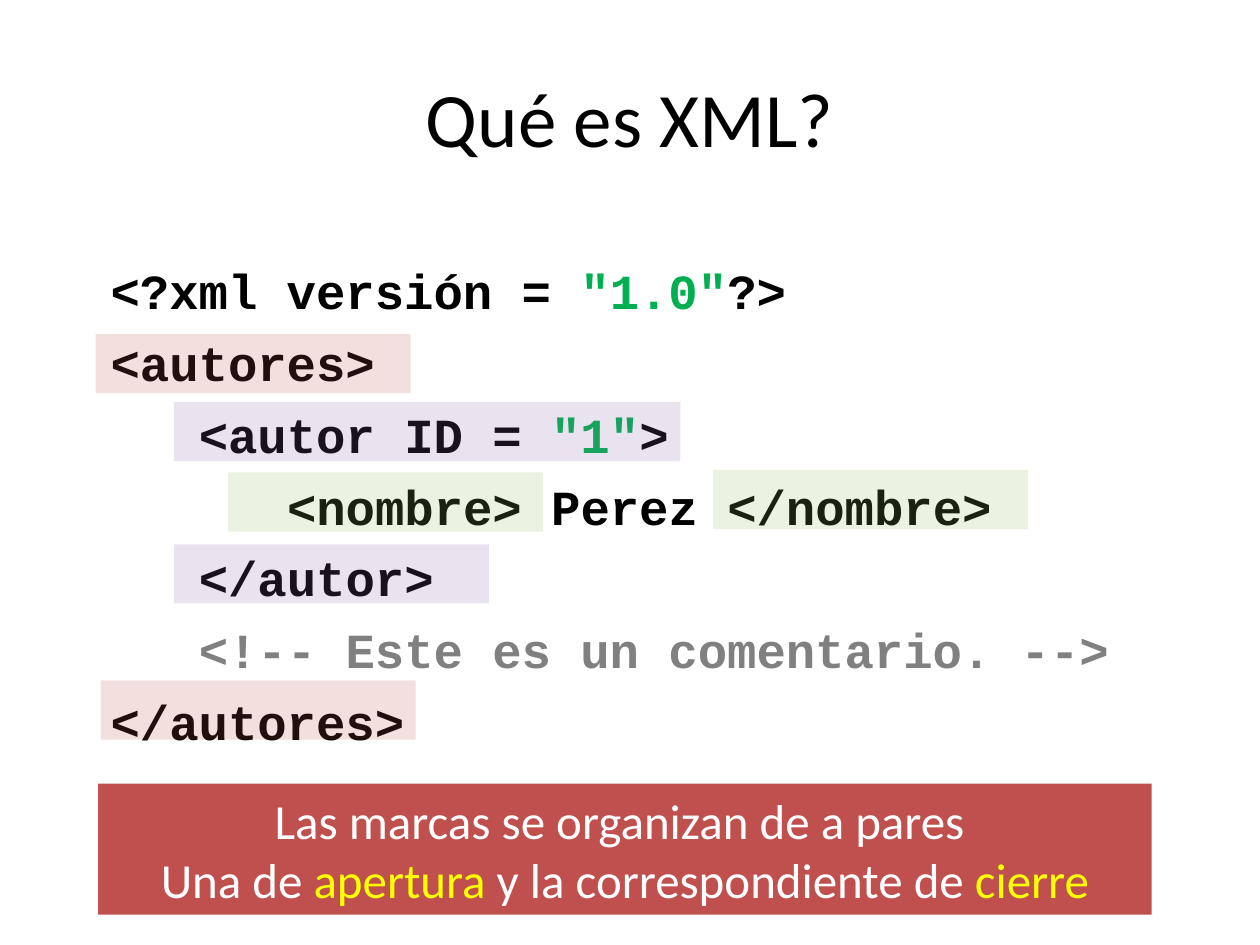
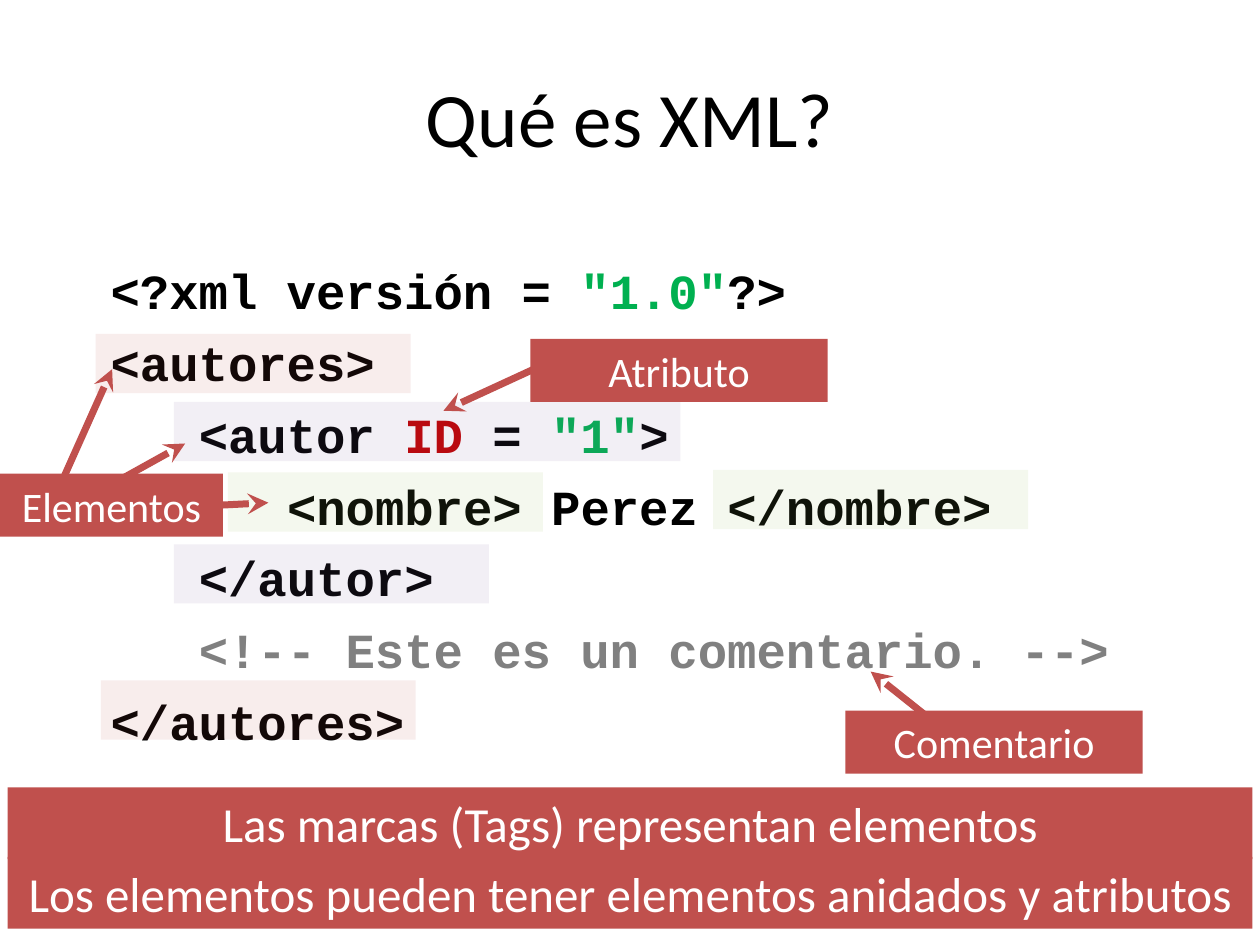
from lxml import etree
from pptx import Presentation
from pptx.dml.color import RGBColor
from pptx.enum.shapes import MSO_CONNECTOR, MSO_SHAPE
from pptx.enum.text import MSO_ANCHOR, PP_ALIGN
from pptx.oxml.ns import qn
from pptx.util import Inches, Pt

RECTANGLE = MSO_SHAPE.RECTANGLE
STRAIGHT = MSO_CONNECTOR.STRAIGHT
CENTER, LEFT = PP_ALIGN.CENTER, PP_ALIGN.LEFT
MIDDLE, TOP = MSO_ANCHOR.MIDDLE, MSO_ANCHOR.TOP

BLACK, WHITE, GRAY = "000000", "FFFFFF", "808080"
RED, PURPLE, OLIVE = "C0504D", "8064A2", "9BBB59"
GREEN, DARK_RED, YELLOW = "00B050", "C00000", "FFFF00"
TEXT_FONT, CODE_FONT = "Calibri", "Courier New"

TITLE = "Qué es XML?"
TITLE_BOX = (0.5, 0.3, 9, 1.25)
CODE_BOX = (0.78, 2.02, 8.44, 4.2)
CODE_INDENT = 0.7
TAG_HEIGHT = 0.47
TAG_PAIRS = [
    (RED, [(0.76, 2.65, 2.5), (0.8, 5.4, 2.5)]),
    (PURPLE, [(1.38, 3.19, 4.02), (1.38, 4.32, 2.5)]),
    (OLIVE, [(1.81, 3.75, 2.5), (5.66, 3.73, 2.5)]),
]


def color(value):
    return RGBColor.from_string(value)


def inches(box):
    return [Inches(length) for length in box]


def write_para(para, spans, font, size, align, bold=False):
    para.alignment = align
    for text, hue in spans:
        span = para.add_run()
        span.text = text
        span.font.name = font
        span.font.size = Pt(size)
        span.font.bold = bold
        span.font.color.rgb = color(hue)


def add_title(page, box):
    title = page.shapes.title
    title.left, title.top, title.width, title.height = inches(box)
    title.text_frame.vertical_anchor = MIDDLE
    write_para(title.text_frame.paragraphs[0], [(TITLE, BLACK)], TEXT_FONT, 44, CENTER)


def add_code(page, box, id_color):
    lines = [
        (0, [("<?xml versión = ", BLACK), ('"1.0"', GREEN), ("?>", BLACK)]),
        (0, [("<autores>", BLACK)]),
        (1, [("<autor ", BLACK), ("ID", id_color), (" = ", BLACK), ('"1"', GREEN), (">", BLACK)]),
        (2, [("<nombre> Perez </nombre>", BLACK)]),
        (1, [("</autor>", BLACK)]),
        (1, [("<!-- Este es un comentario. -->", GRAY)]),
        (0, [("</autores>", BLACK)]),
    ]
    frame = page.shapes.add_textbox(*inches(box)).text_frame
    frame.word_wrap = True
    frame.vertical_anchor = TOP
    for index, (level, spans) in enumerate(lines):
        para = frame.add_paragraph() if index else frame.paragraphs[0]
        para.space_before = Pt(7.4)
        para._p.get_or_add_pPr().set("marL", str(Inches(CODE_INDENT * level)))
        write_para(para, spans, CODE_FONT, 28, LEFT, bold=True)


def add_block(shapes, box, fill, opacity=100):
    block = shapes.add_shape(RECTANGLE, *inches(box))
    block.shadow.inherit = False
    block.line.fill.background()
    block.fill.solid()
    block.fill.fore_color.rgb = color(fill)
    if opacity < 100:
        hue = block.fill._xPr.find(".//" + qn("a:srgbClr"))
        etree.SubElement(hue, qn("a:alpha")).set("val", str(opacity * 1000))
    return block


def add_highlights(page, opacity):
    for fill, places in TAG_PAIRS:
        pair = page.shapes.add_group_shape()
        for place in places:
            add_block(pair.shapes, (*place, TAG_HEIGHT), fill, opacity)


def add_label(shapes, box, lines, size):
    frame = add_block(shapes, box, RED).text_frame
    frame.word_wrap = True
    frame.vertical_anchor = MIDDLE
    for index, spans in enumerate(lines):
        para = frame.add_paragraph() if index else frame.paragraphs[0]
        write_para(para, spans, TEXT_FONT, size, CENTER)


def add_arrow(shapes, start, end):
    arrow = shapes.add_connector(STRAIGHT, *inches(start + end))
    arrow.line.color.rgb = color(RED)
    arrow.line.width = Pt(4)
    etree.SubElement(arrow.line._get_or_add_ln(), qn("a:tailEnd")).set("type", "stealth")
    etree.SubElement(arrow._element.spPr, qn("a:effectLst"))


def add_callout(page, box, text, arrows):
    callout = page.shapes.add_group_shape()
    for start, end in arrows:
        add_arrow(callout.shapes, start, end)
    add_label(callout.shapes, box, [[(text, WHITE)]], 24)


def add_xml_page(deck, id_color, opacity):
    page = deck.slides.add_slide(deck.slide_layouts[5])
    add_title(page, TITLE_BOX)
    add_code(page, CODE_BOX, id_color)
    add_highlights(page, opacity)
    return page


def build_pairs_page(deck):
    page = add_xml_page(deck, BLACK, 18)
    add_label(page.shapes, (0.78, 6.22, 8.36, 1.04), [
        [("Las marcas se organizan de a pares ", WHITE)],
        [("Una de ", WHITE), ("apertura", YELLOW),
         (" y la correspondiente de ", WHITE), ("cierre", YELLOW)],
    ], 28)


def build_elements_page(deck):
    page = add_xml_page(deck, DARK_RED, 10)
    bands = [
        (6.25, "Las marcas (Tags) representan elementos"),
        (6.8, "Los elementos pueden tener elementos anidados y atributos"),
    ]
    for top, text in bands:
        add_label(page.shapes, (0.06, top, 9.88, 0.57), [[(text, WHITE)]], 28)
    add_callout(page, (0, 3.76, 1.77, 0.5), "Elementos", [
        ((1.54, 4.02), (2.13, 3.99)),
        ((0.47, 3.87), (0.89, 2.93)),
        ((0.93, 3.82), (1.47, 3.52)),
    ])
    add_callout(page, (4.21, 2.69, 2.36, 0.5), "Atributo", [((4.41, 2.85), (3.52, 3.26))])
    add_callout(page, (6.71, 5.64, 2.36, 0.5), "Comentario", [((7.55, 5.84), (6.91, 5.33))])


deck = Presentation()
deck.slide_width, deck.slide_height = inches((10, 7.5))
build_pairs_page(deck)
build_elements_page(deck)
deck.save("out.pptx")
